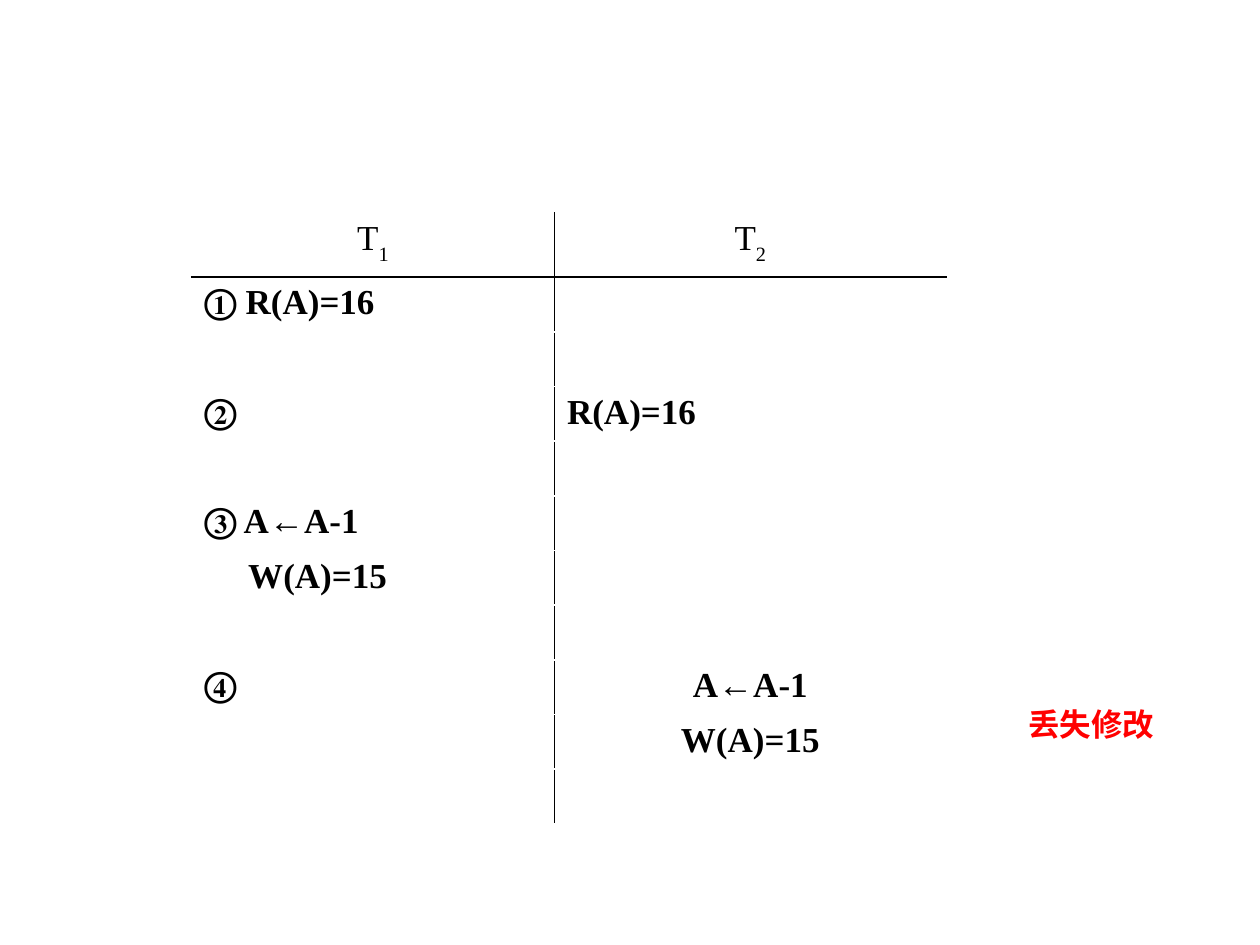
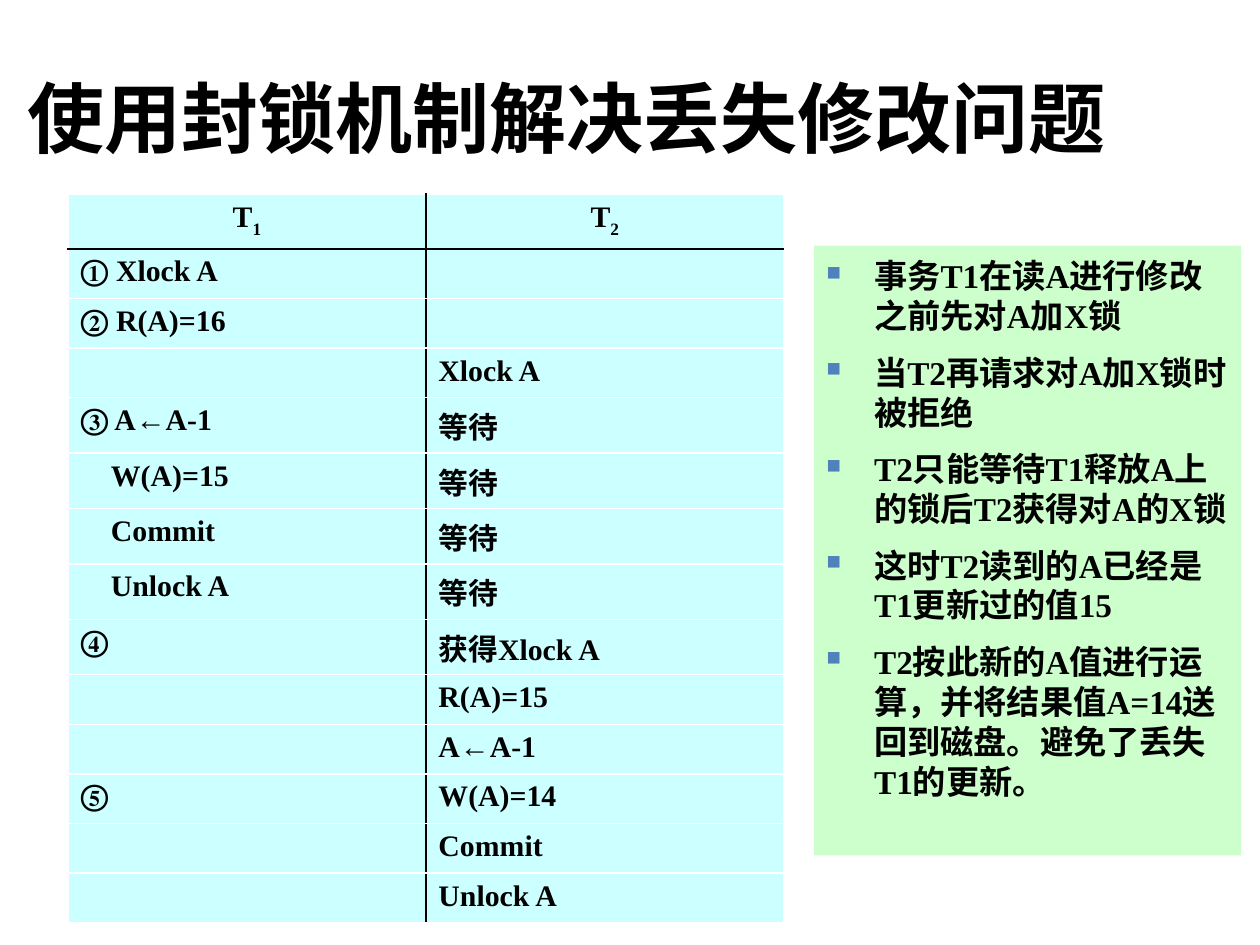
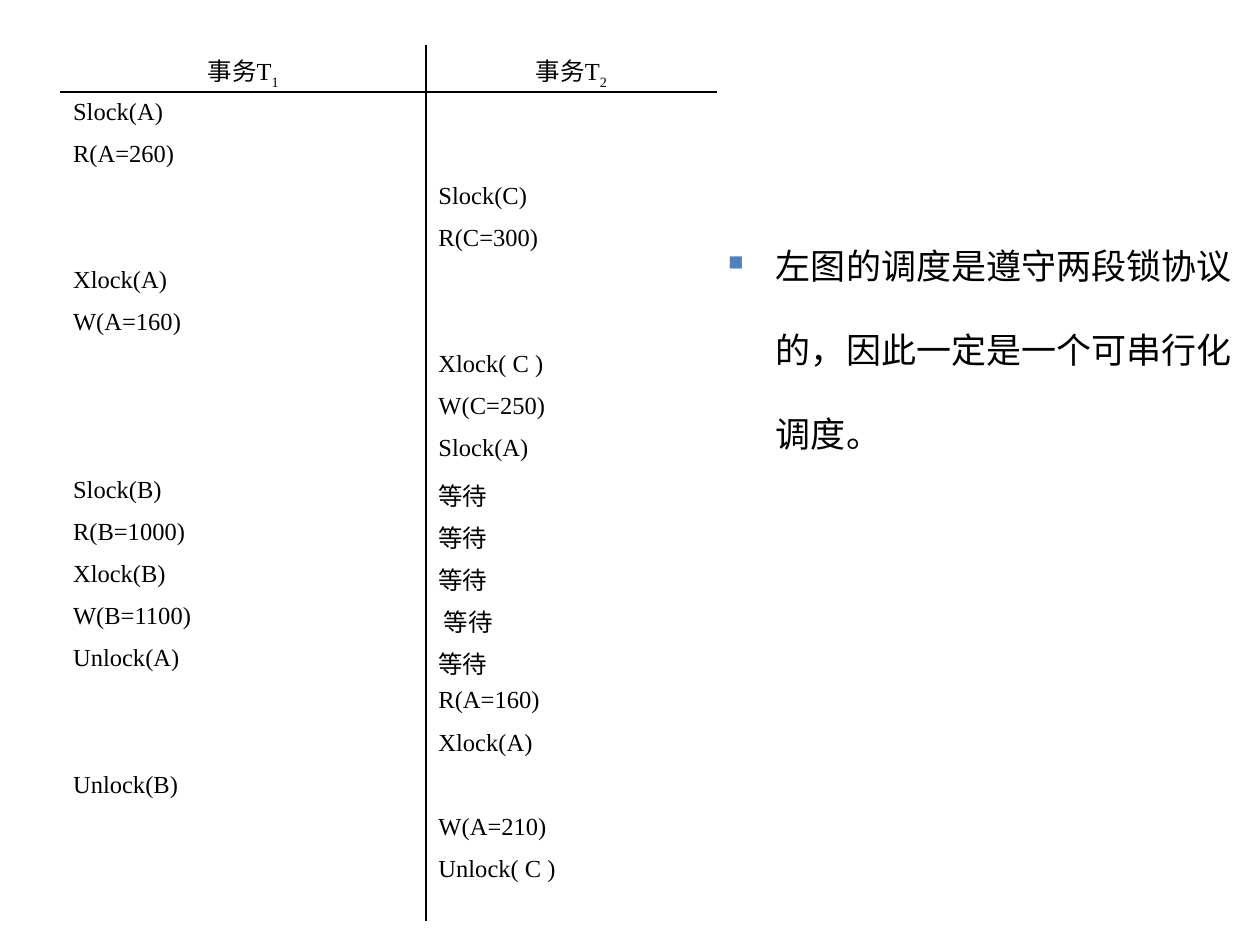
import pptx
import pptx.util
import pptx.dml.color
import pptx.enum.shapes
import pptx.enum.text
import pptx.oxml.ns
from dataclasses import dataclass
from lxml import etree

Inches = pptx.util.Inches
Pt = pptx.util.Pt
CENTER = pptx.enum.text.PP_ALIGN.CENTER
TOP = pptx.enum.text.MSO_ANCHOR.TOP
MIDDLE = pptx.enum.text.MSO_ANCHOR.MIDDLE
qn = pptx.oxml.ns.qn


@dataclass(frozen=True)
class Theme:
    ink: str = "000000"
    paper: str = "FFFFFF"
    alert: str = "FF0000"
    mark: str = "4F81BD"
    sky: str = "CCFFFF"
    mint: str = "CCFFCC"
    head: str = "Arial"
    body: str = "Times New Roman"
    title: int = 44
    large: int = 20
    list: int = 19
    note: int = 18
    lock: int = 17
    small: int = 14
    hang: float = 0.38


THEME = Theme()


def rgb(code):
    return pptx.dml.color.RGBColor.from_string(code)


def write(para, text, size, font=THEME.body, color=THEME.ink, bold=False,
          align=None, sub="", pad=0):
    if align is not None:
        para.alignment = align
    if pad:
        para._p.get_or_add_pPr().set("marL", str(Inches(pad)))
    for part, base in ((text, None), (sub, "-30000")):
        if not part:
            continue
        run = para.add_run()
        run.text = part
        run.font.size = Pt(size)
        run.font.name = font
        run.font.bold = bold
        run.font.color.rgb = rgb(color)
        if base:
            run.font._element.set("baseline", base)
    if not text:
        end = etree.SubElement(para._p, qn("a:endParaRPr"), sz=str(size * 100))
        etree.SubElement(end, qn("a:latin"), typeface=font)


class Deck:
    def __init__(self, theme):
        self.theme = theme
        self.prs = pptx.Presentation()
        self.prs.slide_width = Inches(10)
        self.prs.slide_height = Inches(7.5)
        self.slide = None

    def page(self):
        self.slide = self.prs.slides.add_slide(self.prs.slide_layouts[6])

    def box(self, at, fill=None, anchor=TOP, wrap=True):
        place = [Inches(n) for n in at]
        if fill:
            kind = pptx.enum.shapes.MSO_SHAPE.RECTANGLE
            shape = self.slide.shapes.add_shape(kind, *place)
            shape.shadow.inherit = False
            shape.fill.solid()
            shape.fill.fore_color.rgb = rgb(fill)
            shape.line.fill.background()
        else:
            shape = self.slide.shapes.add_textbox(*place)
        frame = shape.text_frame
        frame.word_wrap = wrap
        frame.vertical_anchor = anchor
        return frame

    def label(self, text, at, size, anchor=TOP, wrap=True, **style):
        frame = self.box(at, anchor=anchor, wrap=wrap)
        write(frame.paragraphs[0], text, size, align=CENTER, **style)

    def bullets(self, items, at, size, pitch, fill=None, gap=0, **style):
        frame = self.box(at, fill)
        frame.margin_top = Inches(0.08)
        for i, item in enumerate(items):
            para = frame.add_paragraph() if i else frame.paragraphs[0]
            para.alignment = pptx.enum.text.PP_ALIGN.LEFT
            para.line_spacing = Pt(pitch)
            para.space_before = Pt(gap if i else 0)
            props = para._p.get_or_add_pPr()
            hang = Inches(self.theme.hang)
            props.set("marL", str(hang))
            props.set("indent", str(-hang))
            tint = etree.SubElement(props, qn("a:buClr"))
            etree.SubElement(tint, qn("a:srgbClr"), val=self.theme.mark)
            etree.SubElement(props, qn("a:buSzPct"), val="60000")
            etree.SubElement(props, qn("a:buChar"), char="■")
            write(para, item, size, **style)

    def border(self, cell, side, color):
        line = etree.SubElement(cell._tc.get_or_add_tcPr(), qn("a:ln" + side),
                                w=str(Pt(1)))
        if color:
            solid = etree.SubElement(line, qn("a:solidFill"))
            etree.SubElement(solid, qn("a:srgbClr"), val=color)
        else:
            etree.SubElement(line, qn("a:noFill"))

    def table(self, head, rows, at, cols, heights, size, fill=None, grid=None,
              base=0.05, bold=False, strong=False):
        ink = self.theme.ink
        area = [Inches(n) for n in (*at, sum(cols), sum(heights))]
        table = self.slide.shapes.add_table(len(heights), len(cols), *area).table
        table.first_row = table.horz_banding = False
        for col, width in zip(table.columns, cols):
            col.width = Inches(width)
        for row, height in zip(table.rows, heights):
            row.height = Inches(height)
        top = [(head, {"sub": n, "align": CENTER, "bold": strong}) for n in "12"]
        for r, row in enumerate([top, *rows]):
            for c, item in enumerate(row):
                text, style = item if isinstance(item, tuple) else (item, {})
                cell = table.cell(r, c)
                cell.margin_bottom = Inches(base)
                self.border(cell, "L", ink if c else grid)
                self.border(cell, "R", grid if c else ink)
                self.border(cell, "T", ink if r == 1 else grid)
                self.border(cell, "B", grid if r else ink)
                if fill:
                    cell.fill.solid()
                    cell.fill.fore_color.rgb = rgb(fill)
                else:
                    cell.fill.background()
                write(cell.text_frame.paragraphs[0], text, size,
                      **{"bold": bold, **style})


def lost(deck):
    theme = deck.theme
    deck.page()
    mid = {"align": CENTER}
    rows = [
        ("① R(A)=16", ""),
        ("", ""),
        ("②", "R(A)=16"),
        ("", ""),
        ("③ A←A-1", ""),
        (("W(A)=15", {"pad": 0.35}), ""),
        ("", ""),
        ("④", ("A←A-1", mid)),
        ("", ("W(A)=15", mid)),
        ("", ""),
    ]
    deck.table("T", rows, (1.52, 1.69), (2.88, 3.11), [0.51] + [4.34 / 10] * 10,
               theme.large, grid=theme.paper, bold=True)
    deck.label("丢失修改", (8.05, 5.55, 1.22, 0.4), theme.note, wrap=False,
               color=theme.alert, bold=True)


def locks(deck):
    theme = deck.theme
    deck.page()
    deck.label("使用封锁机制解决丢失修改问题", (0, 0.3, 9, 1.25), theme.title,
               anchor=MIDDLE, font=theme.head, bold=True)
    pad = {"pad": 0.24}
    rows = [
        ("① Xlock A", ""),
        ("② R(A)=16", ""),
        ("", "Xlock A"),
        ("③ A←A-1", "等待"),
        (("W(A)=15", pad), "等待"),
        (("Commit", pad), "等待"),
        (("Unlock A", pad), "等待"),
        ("④", "获得Xlock A"),
        ("", "R(A)=15"),
        ("", "A←A-1"),
        ("⑤", "W(A)=14"),
        ("", "Commit"),
        ("", "Unlock A"),
    ]
    slim = 3.15 / 8
    deck.table("T", rows, (0.54, 1.54), (2.84, 2.84),
               [0.41] + [slim] * 3 + [0.44] * 5 + [slim] * 5, theme.lock,
               fill=theme.sky, grid=theme.paper, bold=True, strong=True)
    steps = [
        "事务T1在读A进行修改之前先对A加X锁",
        "当T2再请求对A加X锁时被拒绝",
        "T2只能等待T1释放A上的锁后T2获得对A的X锁",
        "这时T2读到的A已经是T1更新过的值15",
        "T2按此新的A值进行运算，并将结果值A=14送回到磁盘。避免了丢失T1的更新。",
    ]
    deck.bullets(steps, (6.46, 1.95, 3.39, 4.84), theme.list, 22.8,
                 fill=theme.mint, gap=9.5, bold=True)


def phases(deck):
    theme = deck.theme
    deck.page()
    rows = [
        ("Slock(A)", ""),
        ("R(A=260)", ""),
        ("", "Slock(C)"),
        ("", "R(C=300)"),
        ("Xlock(A)", ""),
        ("W(A=160)", ""),
        ("", "Xlock( C )"),
        ("", "W(C=250)"),
        ("", "Slock(A)"),
        ("Slock(B)", "等待"),
        ("R(B=1000)", "等待"),
        ("Xlock(B)", "等待"),
        ("W(B=1100)", " 等待"),
        ("Unlock(A)", "等待"),
        ("", "R(A=160)"),
        ("", "Xlock(A)"),
        ("Unlock(B)", ""),
        ("", "W(A=210)"),
        ("", "Unlock( C )"),
    ]
    deck.table("事务T", rows, (0.48, 0.36), (2.9, 2.31),
               [0.37] + [6.01 / 18] * 18 + [0.57], theme.small, base=0)
    deck.bullets(["左图的调度是遵守两段锁协议的，因此一定是一个可串行化调度。"],
                 (5.68, 1.53, 4.32, 2.77), theme.large, 48)


def main():
    deck = Deck(THEME)
    for build in (lost, locks, phases):
        build(deck)
    deck.prs.save("out.pptx")


if __name__ == "__main__":
    main()
